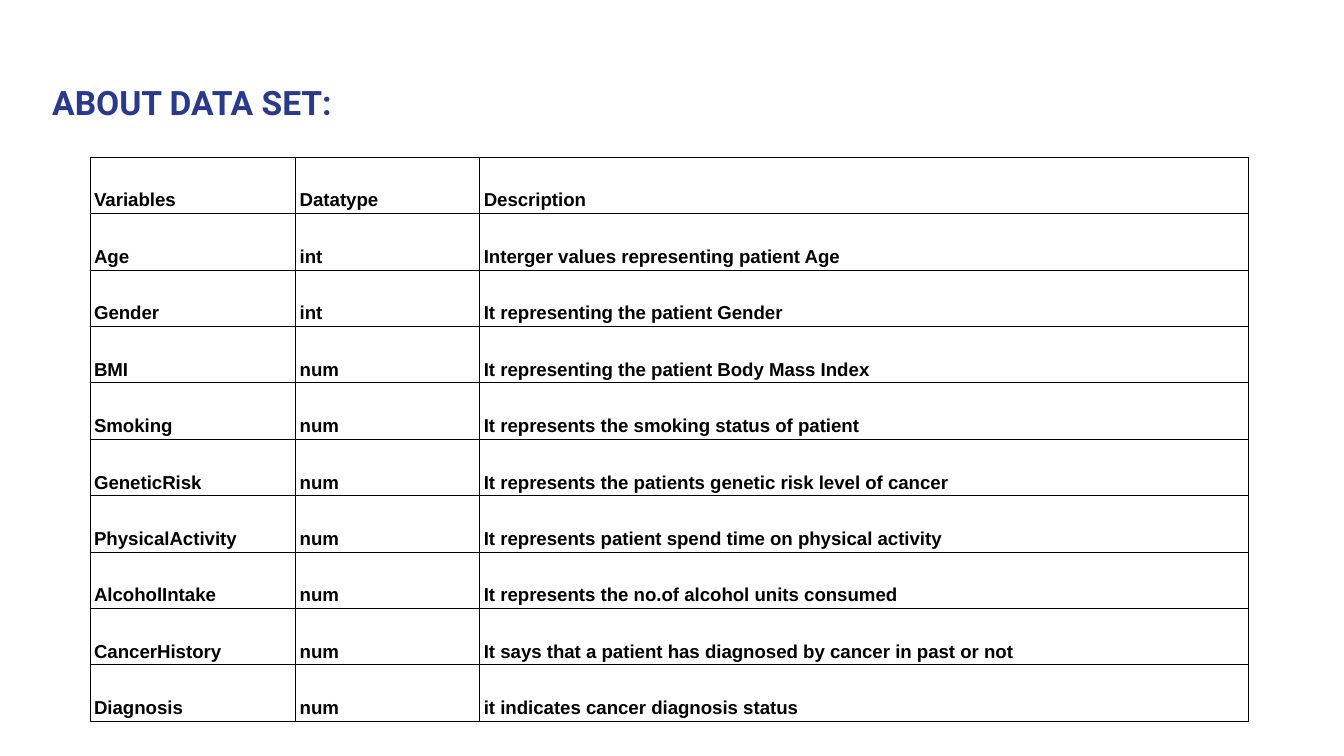
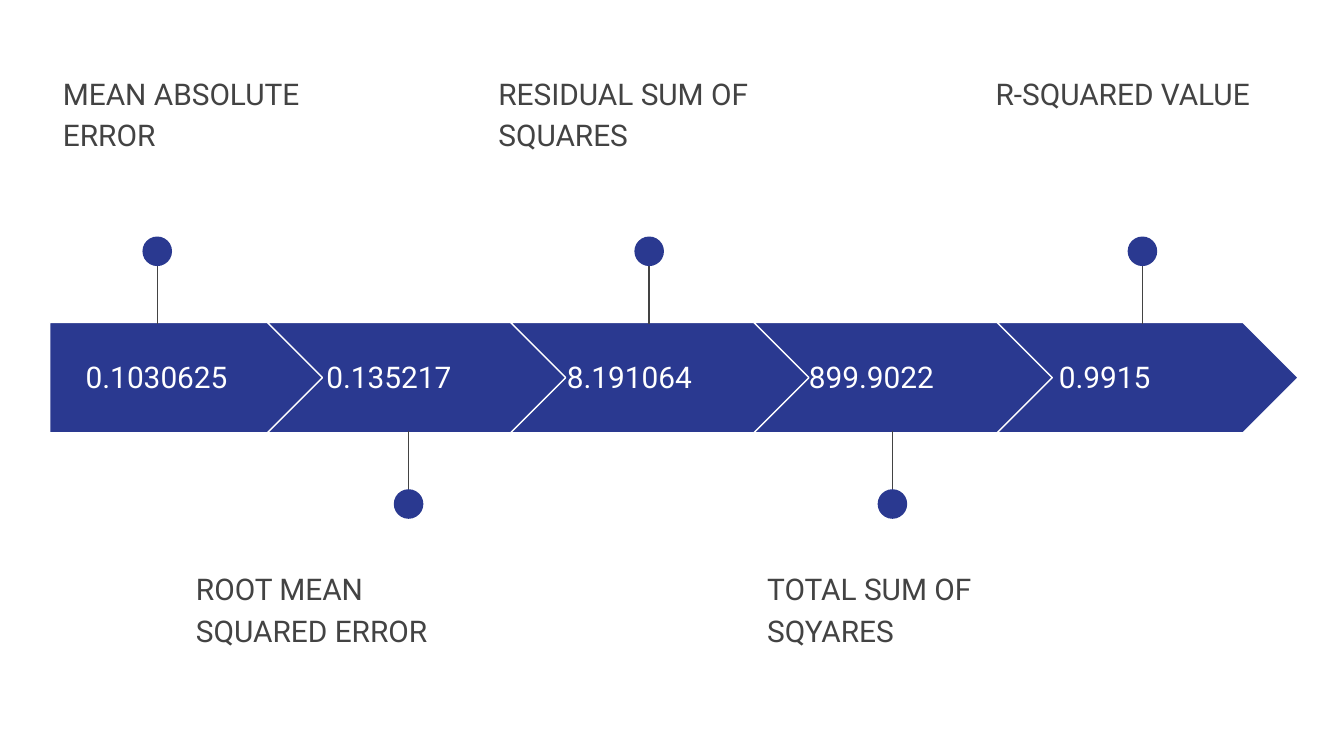
from dataclasses import dataclass

from lxml import etree
from pptx import Presentation
from pptx.dml.color import RGBColor
from pptx.enum.shapes import MSO_CONNECTOR, MSO_SHAPE
from pptx.enum.text import MSO_ANCHOR, PP_ALIGN
from pptx.oxml.ns import qn
from pptx.util import Inches, Pt

STRAIGHT = MSO_CONNECTOR.STRAIGHT
PENTAGON, CHEVRON, OVAL = MSO_SHAPE.PENTAGON, MSO_SHAPE.CHEVRON, MSO_SHAPE.OVAL
TOP, MIDDLE, BOTTOM = MSO_ANCHOR.TOP, MSO_ANCHOR.MIDDLE, MSO_ANCHOR.BOTTOM
LEFT, CENTER = PP_ALIGN.LEFT, PP_ALIGN.CENTER


@dataclass(frozen=True)
class Theme:
    blue: str = "2A3990"
    grey: str = "434343"
    black: str = "000000"
    white: str = "FFFFFF"
    font: str = "Roboto"
    table_font: str = "Arial"
    title_size: float = 18
    body_size: float = 16
    table_size: float = 10
    line: float = 0.75
    border: float = 0.6
    spacing: float = 1.15


THEME = Theme()

VARIABLES = [
    ("Variables", "Datatype", "Description"),
    ("Age", "int", "Interger values representing patient Age"),
    ("Gender", "int", "It representing the patient Gender"),
    ("BMI", "num", "It representing the patient Body Mass Index"),
    ("Smoking", "num", "It represents the smoking status of patient"),
    ("GeneticRisk", "num", "It represents the patients genetic risk level of cancer"),
    ("PhysicalActivity", "num", "It represents patient spend time on physical activity"),
    ("AlcoholIntake", "num", "It represents the no.of alcohol units consumed"),
    ("CancerHistory", "num", "It says that a patient has diagnosed by cancer in past or not"),
    ("Diagnosis", "num", "it indicates cancer diagnosis status"),
]

# label, value, then left edges of label and value, and centre of the pin
METRICS = [
    ("MEAN ABSOLUTE ERROR", "0.1030625", 0.37, 0.37, 1.17),
    ("ROOT MEAN SQUARED ERROR", "0.135217", 1.36, 2.33, 3.04),
    ("RESIDUAL SUM OF SQUARES", "8.191064", 3.61, 4.12, 4.83),
    ("TOTAL SUM OF SQYARES", "899.9022", 5.61, 5.92, 6.64),
    ("R-SQUARED VALUE", "0.9915", 7.31, 7.78, 8.5),
]


def rgb(color):
    return RGBColor.from_string(color)


def inches(*lengths):
    return [Inches(n) for n in lengths]


def write(p, text, size, color, font=THEME.font, bold=False):
    r = p.add_run()
    r.text = text
    r.font.size, r.font.name, r.font.bold = Pt(size), font, bold
    r.font.color.rgb = rgb(color)


def add_text(s, box, text, size, color, bold=False, anchor=TOP, align=LEFT):
    """Adds a wrapped text box and returns its paragraph."""
    tf = s.shapes.add_textbox(*inches(*box)).text_frame
    tf.word_wrap = True
    tf.vertical_anchor = anchor
    tf.margin_left = tf.margin_right = tf.margin_top = tf.margin_bottom = Inches(0.1)
    p = tf.paragraphs[0]
    p.alignment = align
    write(p, text, size, color, bold=bold)
    return p


def add_title(s, box, text):
    add_text(s, box, text, THEME.title_size, THEME.blue, bold=True)


def add_solid(shapes, kind, box, line=None):
    """Adds a flat blue shape, outlined only if a line colour is given."""
    sp = shapes.add_shape(kind, *inches(*box))
    sp.shadow.inherit = False
    sp.fill.solid()
    sp.fill.fore_color.rgb = rgb(THEME.blue)
    if line:
        sp.line.color.rgb = rgb(line)
        sp.line.width = Pt(THEME.line)
    else:
        sp.line.fill.background()
    return sp


def add_borders(cell):
    tc_pr = cell._tc.get_or_add_tcPr()
    for side in ("a:lnL", "a:lnR", "a:lnT", "a:lnB"):
        ln = etree.SubElement(tc_pr, qn(side), w=str(Pt(THEME.border)))
        fill = etree.SubElement(ln, qn("a:solidFill"))
        etree.SubElement(fill, qn("a:srgbClr"), val=THEME.black)


def add_variable_table(s, box, rows, widths):
    table = s.shapes.add_table(len(rows), len(widths), *inches(*box)).table
    table.first_row = table.horz_banding = False
    for column, width in zip(table.columns, widths):
        column.width = Inches(width)
    for row, texts in zip(table.rows, rows):
        row.height = Inches(box[3] / len(rows))
        for cell, text in zip(row.cells, texts):
            cell.margin_left = cell.margin_right = Inches(0.03)
            cell.margin_top = cell.margin_bottom = Inches(0.02)
            cell.vertical_anchor = BOTTOM
            add_borders(cell)
            cell.fill.background()
            p = cell.text_frame.paragraphs[0]
            p.line_spacing = THEME.spacing
            write(p, text, THEME.table_size, THEME.black, THEME.table_font, True)


def add_pin(s, x, edge, direction):
    """Draws a pin from the band edge, upwards (-1) or downwards (1)."""
    dot, stem = 0.22, 0.61
    shapes = s.shapes.add_group_shape().shapes
    line = shapes.add_connector(STRAIGHT, *inches(x, edge + direction * stem, x, edge))
    line.line.color.rgb = rgb(THEME.grey)
    line.line.width = Pt(THEME.line)
    etree.SubElement(line._element.spPr, qn("a:effectLst"))
    center = edge + direction * 0.54
    add_solid(shapes, OVAL, (x - dot / 2, center - dot / 2, dot, dot))


def add_metric_band(s, box, metrics):
    """Arrow band with values inside and labels alternating above and below."""
    left, top, width, height = box
    step, overlap, first_width, label_height = 1.81, 0.19, 2.05, 0.99
    chevron_width = width - (len(metrics) - 1) * step + overlap
    pin_inset = 0.01
    for i, (label, value, label_x, value_x, pin_x) in enumerate(metrics):
        if i == 0:
            arrow = add_solid(s.shapes, PENTAGON, (left, top, first_width, height), THEME.white)
        else:
            x = left + i * step - overlap
            arrow = add_solid(s.shapes, CHEVRON, (x, top, chevron_width, height), THEME.white)
        arrow.adjustments[0] = 0.5
        add_text(s, (value_x, top + 0.15, 1.44 if i else 1.59, 0.51), value,
                 THEME.body_size, THEME.white, anchor=MIDDLE, align=LEFT if i else CENTER)
        if i % 2:
            label_y = top + height + 0.89
            add_pin(s, pin_x, top + height - pin_inset, 1)
        else:
            label_y = top - label_height - 0.99
            add_pin(s, pin_x, top + pin_inset, -1)
        p = add_text(s, (label_x, label_y, 2.45, label_height), label,
                     THEME.body_size, THEME.grey)
        p.line_spacing = THEME.spacing
        p.space_after = Pt(16)


def add_slide(prs):
    s = prs.slides.add_slide(prs.slide_layouts[6])
    s.background.fill.solid()
    s.background.fill.fore_color.rgb = rgb(THEME.white)
    return s


def build_data_set(prs):
    s = add_slide(prs)
    add_title(s, (0.29, 0.51, 3.03, 0.66), "ABOUT DATA SET:")
    add_variable_table(s, (0.67, 1.17, 8.62, 4.2), VARIABLES, (1.53, 1.37, 5.72))


def build_metrics(prs):
    add_metric_band(add_slide(prs), (0.37, 2.4, 9.29, 0.82), METRICS)


def main():
    prs = Presentation()
    prs.slide_width = Inches(10)
    prs.slide_height = Inches(10 * 9 / 16)
    build_data_set(prs)
    build_metrics(prs)
    prs.save("out.pptx")


if __name__ == "__main__":
    main()
